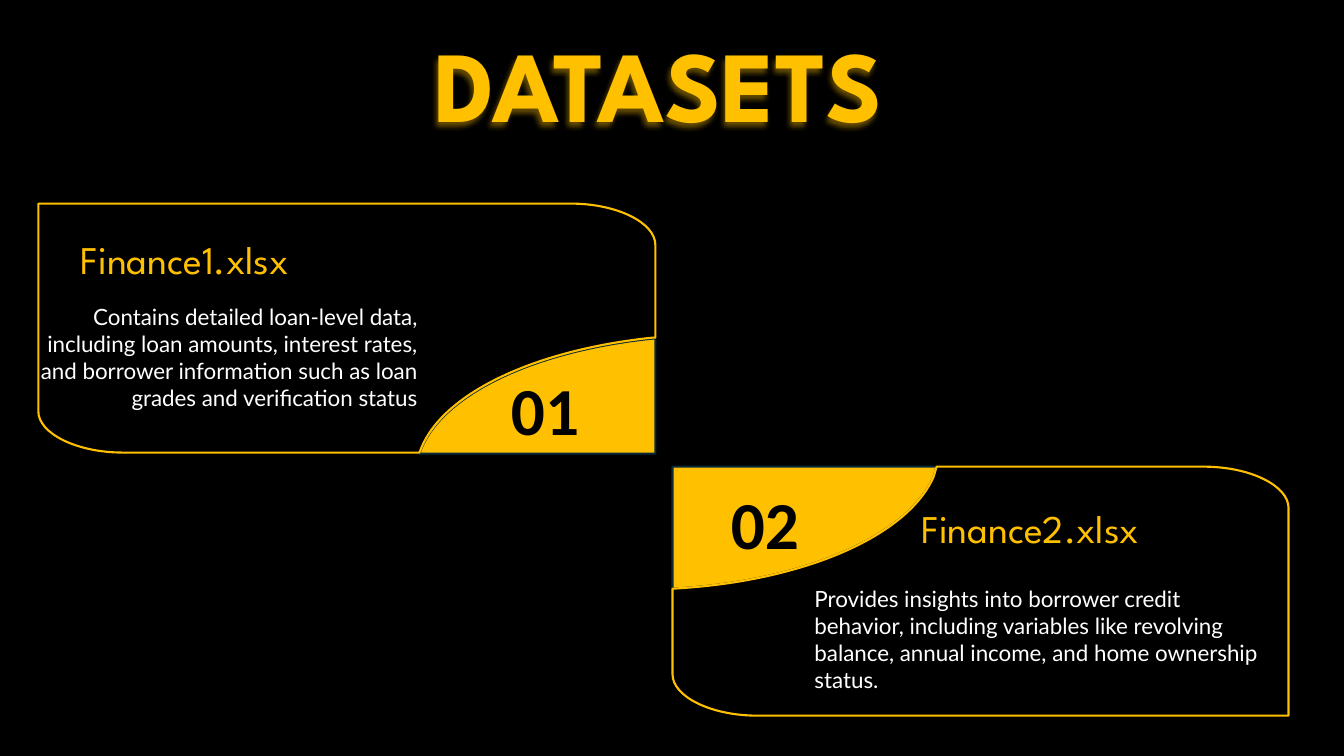
from lxml import etree
from pptx import Presentation
from pptx import util as u
from pptx.dml import color
from pptx.enum import text
from pptx.oxml import ns

GOLD, BLACK, WHITE, NAVY = "FFC000", "000000", "FFFFFF", "092A39"


def rgb(value):
    return color.RGBColor.from_string(value)


def add_text(shapes, box, words, *, size, font, fill, bold=False,
             align=text.PP_ALIGN.LEFT):
    shape = shapes.add_textbox(*map(u.Inches, box))
    frame = shape.text_frame
    frame.word_wrap = True
    frame.auto_size = text.MSO_AUTO_SIZE.SHAPE_TO_FIT_TEXT
    paragraph = frame.paragraphs[0]
    paragraph.alignment = align
    run = paragraph.add_run()
    run.text = words
    run.font.size = u.Pt(size)
    run.font.name = font
    run.font.bold = bold
    run.font.color.rgb = rgb(fill)
    return shape


def reverse(segments):
    """The same outline part, run backwards."""
    ends = [segment[-2:] for segment in segments]
    result = [ends[-1]]
    for segment, end in zip(segments[:0:-1], ends[-2::-1]):
        result.append(segment[2:-2] + segment[:2] + end if len(segment) == 6 else end)
    return result


def add_outline(shapes, origin, segments, fill, line):
    """A segment is a point, or two Bezier controls followed by a point."""
    def place(point):
        return [u.Inches(start + offset) for start, offset in zip(origin, point)]

    anchors = [place(segment[-2:]) for segment in segments]
    builder = shapes.build_freeform(*anchors[0])
    builder.add_line_segments(anchors[1:], close=True)
    shape = builder.convert_to_shape()
    # Turn the straight edges that have controls into curves
    edges = shape._element.findall(".//" + ns.qn("a:lnTo"))
    for edge, segment in zip(edges, segments[1:]):
        if len(segment) == 6:
            edge.tag = ns.qn("a:cubicBezTo")
            for index, start in enumerate((0, 2)):
                x, y = place(segment[start:start + 2])
                control = etree.Element(ns.qn("a:pt"), x=str(x - shape.left),
                                        y=str(y - shape.top))
                edge.insert(index, control)
    shape.shadow.inherit = False
    shape.fill.solid()
    shape.fill.fore_color.rgb = rgb(fill)
    shape.line.color.rgb = rgb(line)
    shape.line.width = u.Pt(1.5)


def rounded_corners(width, height):
    """Top right and bottom left corners, both running clockwise."""
    top_right = [(width - 0.84, 0), (width - 0.38, 0, width, 0.19, width, 0.41)]
    bottom_left = [(0.84, height),
                   (0.38, height, 0, height - 0.19, 0, height - 0.41)]
    return top_right, bottom_left


def add_card_text(shapes, origin, number, heading, body, align):
    """Each of number, heading and body is a pair of box and words."""
    formats = (
        dict(size=48, font="Calibri", fill=BLACK, bold=True),
        dict(size=28, font="League Spartan", fill=GOLD),
        dict(size=16, font="Lato", fill=WHITE, align=align),
    )
    for (box, words), style in zip((number, heading, body), formats):
        left, top, width, height = box
        add_text(shapes, (origin[0] + left, origin[1] + top, width, height),
                 words, **style)


def add_title(slide, box):
    title = add_text(slide.shapes, box, "DATASETS", size=72,
                     font="League Spartan", fill=GOLD, bold=True)
    # Soft gold shadow below the letters
    effects = etree.SubElement(title._element.spPr, ns.qn("a:effectLst"))
    shadow = etree.SubElement(effects, ns.qn("a:outerShdw"), blurRad="50800",
                              dist="38100", dir="8100000", algn="tr", rotWithShape="0")
    tint = etree.SubElement(shadow, ns.qn("a:srgbClr"), val=GOLD)
    etree.SubElement(tint, ns.qn("a:alpha"), val="40000")


def add_first_dataset(slide, box):
    *origin, width, height = box
    shapes = slide.shapes.add_group_shape().shapes
    top_right, bottom_left = rounded_corners(width, height)
    swoop = [(3.78, height), (3.8, 2.42),
             (4.03, 1.87, 4.94, 1.45, 6.09, 1.33), (width, 1.33)]
    # Number tab, then the panel around it
    add_outline(shapes, (origin[0], origin[1] + 0.01),
                [(width, height), *swoop], GOLD, NAVY)
    add_outline(shapes, origin,
                [(0, 0), *top_right, *reverse(swoop), *bottom_left], BLACK, GOLD)
    add_card_text(
        shapes, origin,
        ((4.59, 1.58, 1.26, 0.91), "01"),
        ((0.32, 0.27, 3.54, 0.57), "Finance1.xlsx"),
        ((-0.09, 0.94, 3.95, 1.45),
         "Contains detailed loan-level data, including loan amounts, interest rates, "
         "and borrower information such as loan grades and verification status"),
        text.PP_ALIGN.RIGHT)


def add_second_dataset(slide, box):
    *origin, width, height = box
    shapes = slide.shapes.add_group_shape().shapes
    top_right, bottom_left = rounded_corners(width, height)
    swoop = [(2.62, 0), (2.59, 0.1),
             (2.33, 0.69, 1.3, 1.14, 0.01, 1.21), (0, 1.21)]
    # Number tab, then the panel around it
    add_outline(shapes, origin, [(0, 0), *swoop], GOLD, NAVY)
    add_outline(shapes, origin,
                [*top_right, (width, height), *bottom_left, *reverse(swoop)],
                BLACK, GOLD)
    add_card_text(
        shapes, origin,
        ((0.48, 0.11, 1.49, 0.91), "02"),
        ((2.37, 0.32, 2.95, 0.57), "Finance2.xlsx"),
        ((1.31, 1.13, 4.63, 1.18),
         "Provides insights into borrower credit behavior, including variables like "
         "revolving balance, annual income, and home ownership status."),
        text.PP_ALIGN.LEFT)


def main():
    presentation = Presentation()
    presentation.slide_width = u.Inches(13.33)
    presentation.slide_height = u.Inches(7.5)
    slide = presentation.slides.add_slide(presentation.slide_layouts[6])
    slide.background.fill.solid()
    slide.background.fill.fore_color.rgb = rgb(BLACK)

    add_title(slide, (4.21, 0.17, 5.88, 1.31))
    add_first_dataset(slide, (0.38, 2.02, 6.12, 2.47))
    add_second_dataset(slide, (6.67, 4.63, 6.11, 2.47))
    presentation.save("out.pptx")


if __name__ == "__main__":
    main()
